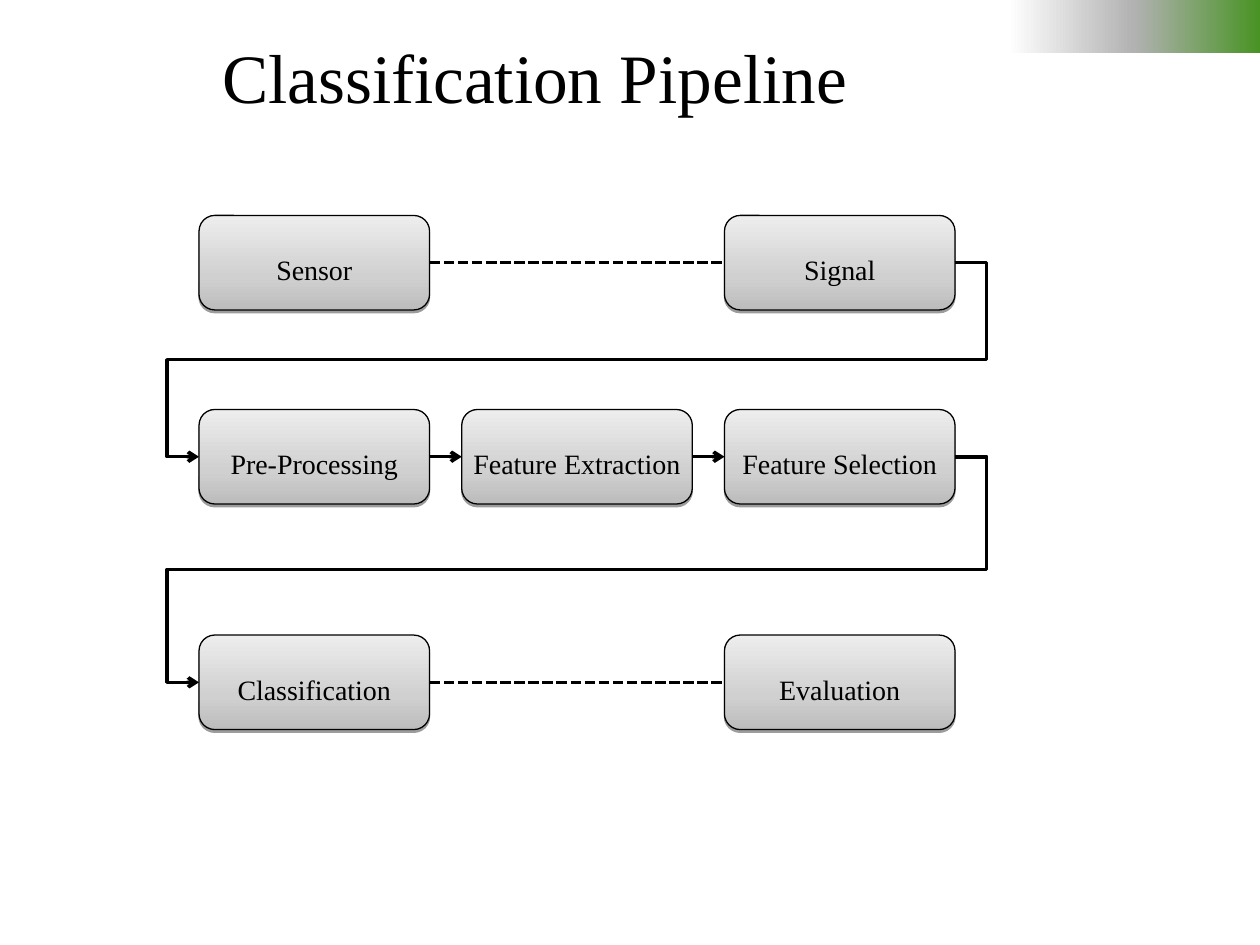
import pptx
import pptx.util
import pptx.oxml
import pptx.oxml.ns
import pptx.dml.color
import pptx.enum.dml
import pptx.enum.shapes
import pptx.enum.text
from pptx.util import Inches
from lxml import etree

FONT = "Times New Roman"
COLORS = {
    "paper": "FFFFFF", "ink": "000000",
    "silver": "B2B2B2", "green": "489324",
    "low": "BCBCBC", "mid": "D0D0D0", "high": "EDEDED",
}
TOP, LEFT, BOTTOM, RIGHT = range(4)
LINK = pptx.enum.shapes.MSO_CONNECTOR
SHAPE = pptx.enum.shapes.MSO_SHAPE
qn = pptx.oxml.ns.qn

# Stages by name: text, column, row
STAGES = {
    "sensor": ("Sensor", 0, 0),
    "signal": ("Signal", 2, 0),
    "prep": ("Pre-Processing", 0, 1),
    "extract": ("Feature Extraction", 1, 1),
    "select": ("Feature Selection", 2, 1),
    "classify": ("Classification", 0, 2),
    "rate": ("Evaluation", 2, 2),
}
ROWS = (0, 1.54, 3.33)
# Links: start, end, kind
LINKS = (
    ("sensor", "signal", "dash"),
    ("signal", "prep", "wrap"),
    ("prep", "extract", "arrow"),
    ("extract", "select", "arrow"),
    ("select", "classify", "wrap"),
    ("classify", "rate", "dash"),
)


def rgb(name):
    return pptx.dml.color.RGBColor.from_string(COLORS[name])


def add(parent, tag, **attrs):
    return etree.SubElement(parent, qn(tag), attrs)


def shade(shape, stops, angle):
    """Fill a shape with a linear gradient of (percent, colour) stops."""
    shape.fill.gradient()
    shape.fill.gradient_angle = angle
    group = shape._element.spPr.find(".//" + qn("a:gsLst"))
    for old in list(group):
        group.remove(old)
    for spot, name in stops:
        stop = add(group, "a:gs", pos=str(spot * 1000))
        add(stop, "a:srgbClr", val=COLORS[name])


def style(para, size):
    para.alignment = pptx.enum.text.PP_ALIGN.CENTER
    font = para.runs[0].font
    font.name, font.size = FONT, pptx.util.Pt(size)
    font.color.rgb = rgb("ink")


def add_band(slide, x, y, w, h):
    band = slide.shapes.add_shape(SHAPE.RECTANGLE, x, y, w, h)
    shade(band, ((0, "paper"), (80, "paper"), (90, "silver"), (100, "green")), 0)
    band.line.fill.background()
    band.shadow.inherit = False
    # Behind the title
    tree = slide.shapes._spTree
    tree.remove(band._element)
    tree.insert(2, band._element)


def add_title(slide, x, y, w, h):
    title = slide.shapes.title
    title.left, title.top, title.width, title.height = x, y, w, h
    frame = title.text_frame
    frame.text = "Classification Pipeline"
    frame.vertical_anchor = pptx.enum.text.MSO_ANCHOR.MIDDLE
    style(frame.paragraphs[0], 39.6)


def add_stage(slide, text, x, y, w, h):
    box = slide.shapes.add_shape(SHAPE.ROUNDED_RECTANGLE, x, y, w, h)
    shade(box, ((0, "low"), (35, "mid"), (100, "high")), 90)
    box.line.color.rgb = rgb("ink")
    box.line.width = pptx.util.Pt(0.75)
    # Soft drop shadow
    box.shadow.inherit = False
    effects = box._element.spPr.find(qn("a:effectLst"))
    drop = add(effects, "a:outerShdw", blurRad="0", dir="5400000",
               dist=str(pptx.util.Pt(1.6)), rotWithShape="0")
    tint = add(drop, "a:srgbClr", val=COLORS["ink"])
    add(tint, "a:alpha", val="38000")
    # Label
    frame = box.text_frame
    frame.text = text
    frame.word_wrap = False
    frame.vertical_anchor = pptx.enum.text.MSO_ANCHOR.MIDDLE
    frame.margin_left = frame.margin_right = Inches(0.1)
    frame.margin_top, frame.margin_bottom = Inches(0.16), Inches(0.05)
    style(frame.paragraphs[0], 16)
    return box


def add_link(slide, start, end, kind):
    form = LINK.ELBOW if kind == "wrap" else LINK.STRAIGHT
    link = slide.shapes.add_connector(form, 0, 0, 0, 0)
    link.begin_connect(start, RIGHT)
    link.end_connect(end, LEFT)
    link.line.color.rgb = rgb("ink")
    link.line.width = pptx.util.Pt(2)
    props = link._element.spPr
    if kind == "wrap":
        # Run round both ends to the next row
        geom = props.find(qn("a:prstGeom"))
        geom.set("prst", "bentConnector5")
        guides = geom.find(qn("a:avLst"))
        for i, share in enumerate((-4200, 50000, 104200), 1):
            add(guides, "a:gd", name=f"adj{i}", fmla=f"val {share}")
    if kind == "dash":
        link.line.dash_style = pptx.enum.dml.MSO_LINE.SQUARE_DOT
    else:
        add(props.find(qn("a:ln")), "a:tailEnd", type="arrow")
    add(props, "a:effectLst")


def add_flow(slide, x, y, w, h):
    wide, high = Inches(1.83), Inches(0.75)
    step = (w - wide) / 2
    scale = (h - high) / ROWS[-1]
    boxes = {}
    for name, (text, col, row) in STAGES.items():
        boxes[name] = add_stage(slide, text, int(x + col * step),
                                int(y + ROWS[row] * scale), wide, high)
    for start, end, kind in LINKS:
        add_link(slide, boxes[start], boxes[end], kind)


def main():
    deck = pptx.Presentation()
    deck.slide_width, deck.slide_height = Inches(10), Inches(7.5)
    slide = deck.slides.add_slide(deck.slide_layouts[5])
    slide.background.fill.solid()
    slide.background.fill.fore_color.rgb = rgb("paper")
    add_band(slide, 0, 0, deck.slide_width, Inches(0.42))
    add_title(slide, Inches(1.33), Inches(0.25), Inches(5.83), Inches(0.7))
    add_flow(slide, Inches(1.58), Inches(1.71), Inches(6), Inches(4.08))
    deck.save("out.pptx")


if __name__ == "__main__":
    main()
